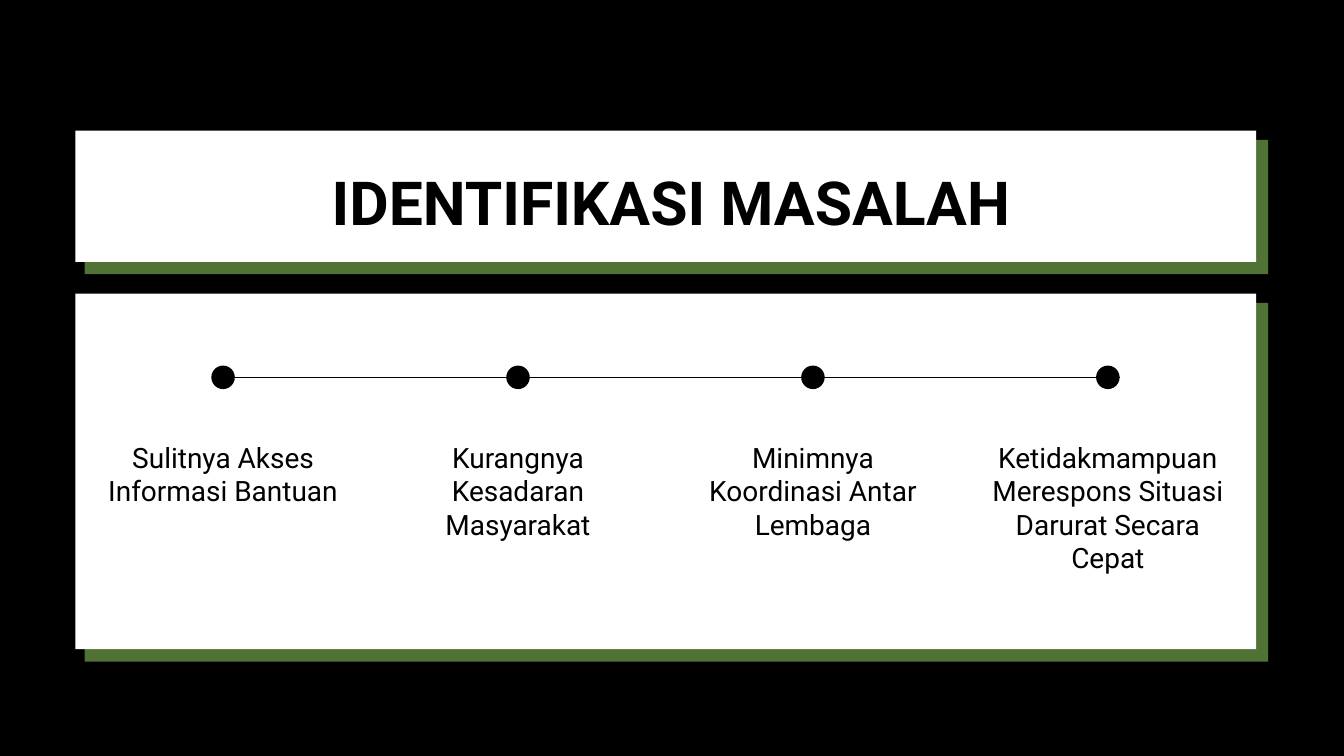
from lxml import etree
from pptx import Presentation
from pptx.dml.color import RGBColor
from pptx.enum import shapes, text
from pptx.oxml import ns
from pptx.util import Pt

COLORS = {"black": "000000", "white": "FFFFFF", "green": "507335"}
PROBLEMS = [
    "Sulitnya Akses Informasi Bantuan",
    "Kurangnya Kesadaran Masyarakat",
    "Minimnya Koordinasi Antar Lembaga",
    "Ketidakmampuan Merespons Situasi Darurat Secara Cepat",
]


def write(box, words, size, leading, bold=False, color="black"):
    """Fill a text shape with one centred paragraph, without margins."""
    frame = box.text_frame
    frame.word_wrap = True
    frame.auto_size = text.MSO_AUTO_SIZE.NONE
    frame.vertical_anchor = text.MSO_ANCHOR.TOP
    frame.margin_left = frame.margin_right = Pt(0)
    frame.margin_top = frame.margin_bottom = Pt(0)
    para = frame.paragraphs[0]
    para.alignment = text.PP_ALIGN.CENTER
    para.line_spacing = Pt(leading)
    span = para.add_run()
    span.text = words
    span.font.name = "Roboto"
    span.font.size = Pt(size)
    span.font.bold = bold
    span.font.color.rgb = RGBColor.from_string(COLORS[color])


def add_solid(page, kind, left, top, width, height, color):
    shape = page.shapes.add_shape(kind, Pt(left), Pt(top), Pt(width), Pt(height))
    shape.shadow.inherit = False
    shape.fill.solid()
    shape.fill.fore_color.rgb = RGBColor.from_string(COLORS[color])
    shape.line.fill.background()


deck = Presentation()
deck.slide_width, deck.slide_height = Pt(1440), Pt(810)
page = deck.slides.add_slide(deck.slide_layouts[5])
page.background.fill.solid()
page.background.fill.fore_color.rgb = RGBColor.from_string(COLORS["black"])

# White cards, each with a green card showing below and to the right
card_left, card_width = 80.8, 1265
for top, height in [(314.6, 381), (140, 140.6)]:
    add_solid(page, shapes.MSO_SHAPE.RECTANGLE, card_left + 10, top + 10,
              card_width + 3, height + 3.3, "green")
    add_solid(page, shapes.MSO_SHAPE.RECTANGLE, card_left, top,
              card_width, height, "white")

# Timeline: a line, then a dot and a caption for each problem
first_x, step, line_y = 239, 316, 404.3
dot, caption_width = 25.2, 265
line = page.shapes.add_connector(
    shapes.MSO_CONNECTOR.STRAIGHT, Pt(first_x), Pt(line_y),
    Pt(first_x + 3 * step + dot / 2), Pt(line_y))
line.line.width = Pt(0.75)
line.line.color.rgb = RGBColor.from_string(COLORS["black"])
etree.SubElement(line.element.spPr, ns.qn("a:effectLst"))

for index, problem in enumerate(PROBLEMS):
    center = first_x + index * step
    add_solid(page, shapes.MSO_SHAPE.OVAL, center - dot / 2, line_y - dot / 2,
              dot, dot, "black")
    caption = page.shapes.add_textbox(
        Pt(center - caption_width / 2), Pt(471.6), Pt(caption_width), Pt(145))
    write(caption, problem, size=30, leading=36)

# The title goes in front of its card
title = page.shapes.title
title.left, title.top, title.width, title.height = Pt(106.6), Pt(176.4), Pt(1225.4), Pt(79.2)
write(title, "IDENTIFIKASI MASALAH", size=65, leading=78, bold=True)
title.element.getparent().append(title.element)

deck.save("out.pptx")
